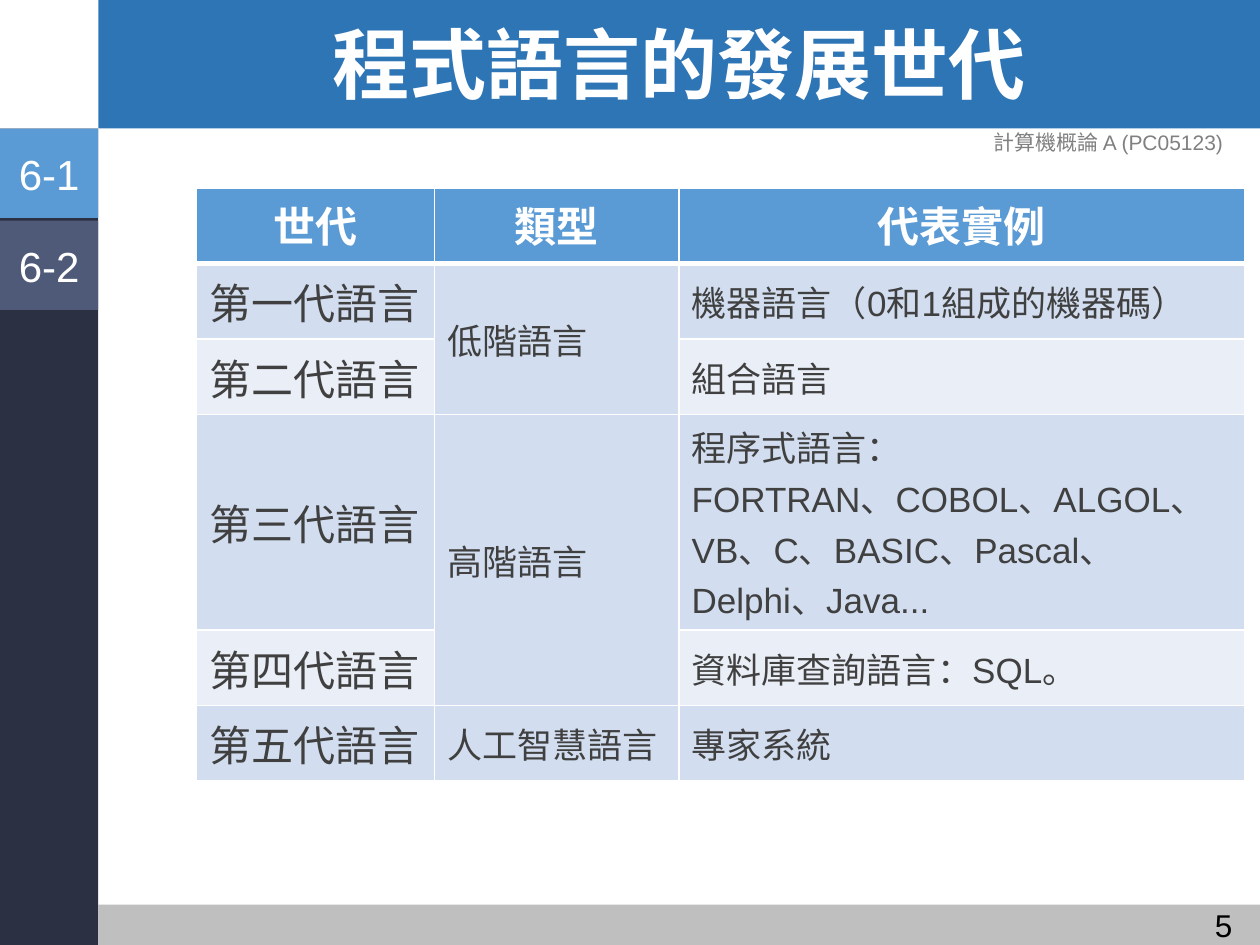
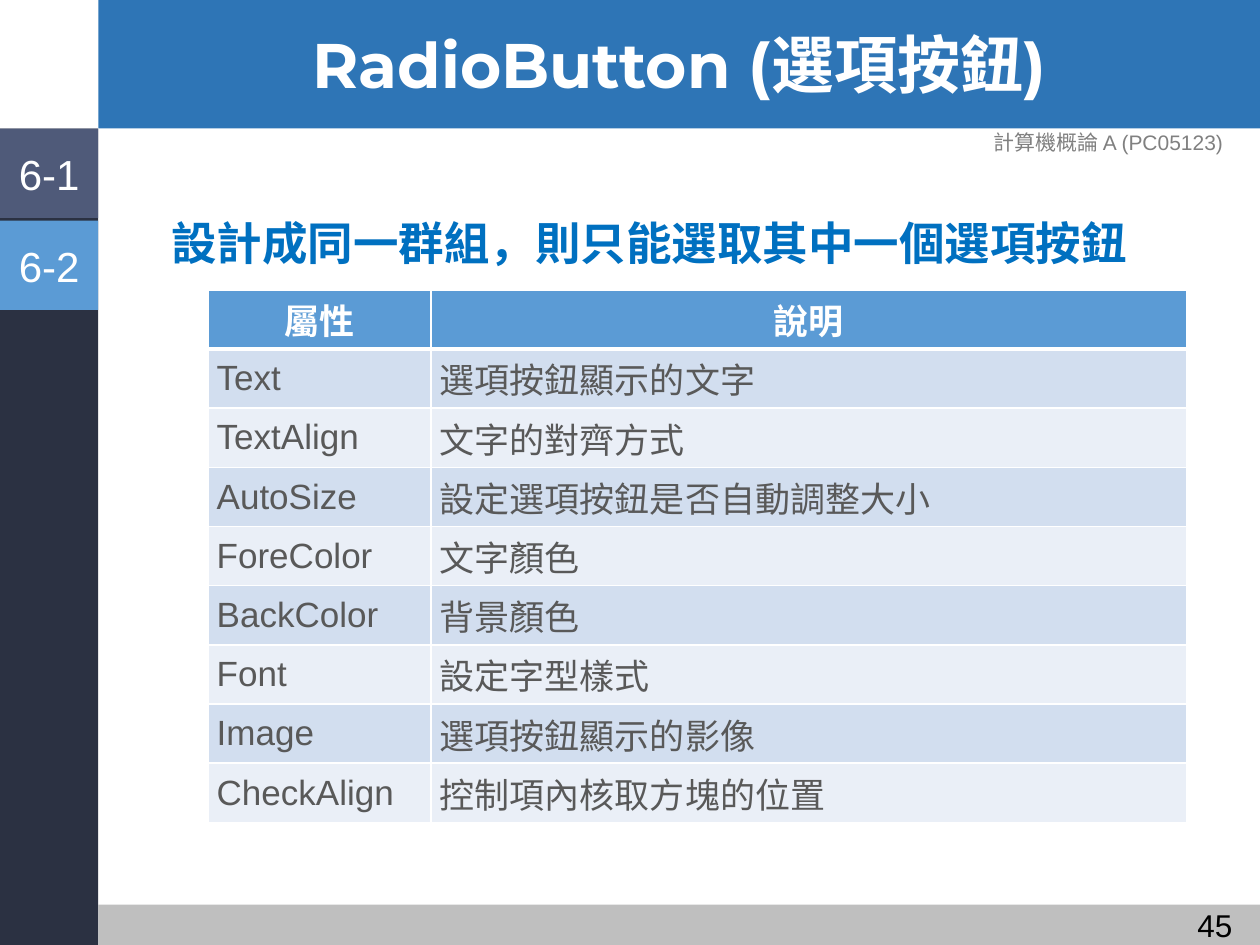
from lxml.etree import SubElement
from pptx import Presentation
from pptx.dml.color import RGBColor
from pptx.enum.shapes import MSO_SHAPE as Shape
from pptx.enum.text import MSO_ANCHOR as Anchor, PP_ALIGN as Align
from pptx.oxml.ns import qn
from pptx.util import Inches, Pt

# Shared look
WHITE, BLUE, SLATE = "FFFFFF", "5B9BD5", "4F5A79"
BANDS = ["EAEFF7", "D2DEEF"]
SIDE, TOP = 0.78, 1.02
COURSE = "計算機概論 A (PC05123)"
BARS = [
    (SIDE, 0, 10 - SIDE, TOP, "2E75B6"),
    (SIDE, 7.18, 10 - SIDE, 0.32, "BFBFBF"),
    (0, TOP, SIDE, 7.5 - TOP, "2B3142"),
]


def color(code):
    return RGBColor.from_string(code)


def write(frame, text, size, ink, align=Align.LEFT, bold=False, font="Arial"):
    frame.word_wrap = True
    frame.text = text
    for para in frame.paragraphs:
        para.alignment = align
        para.font.size, para.font.bold, para.font.name = Pt(size), bold, font
        para.font.color.rgb = color(ink)
    return frame.paragraphs[0]


# Content of the two pages
generations = {
    "place": (1.56, 1.49), "columns": [1.89, 1.94, 4.49],
    "heights": [0.6, 0.6, 0.6, 1.71, 0.6, 0.6],
    "head_size": 24, "sizes": [24, 20, 20], "ink": "404040",
    "margins": (0.1, 0.05), "head_anchor": Anchor.TOP,
    "merges": [(1, 2, 1), (3, 4, 1)],
    "rows": [
        ["世代", "類型", "代表實例"],
        ["第一代語言", "低階語言", "機器語言（0和1組成的機器碼）"],
        ["第二代語言", "", "組合語言"],
        ["第三代語言", "高階語言",
         "程序式語言：\nFORTRAN、COBOL、ALGOL、VB、C、BASIC、Pascal、Delphi、Java..."],
        ["第四代語言", "", "資料庫查詢語言：SQL。"],
        ["第五代語言", "人工智慧語言", "專家系統"],
    ],
}
properties = {
    "place": (1.65, 2.3), "columns": [1.77, 6], "heights": [0.47] * 9,
    "head_size": 20, "sizes": [20, 20], "ink": "595959",
    "margins": (0.07, 0), "head_anchor": Anchor.MIDDLE, "merges": [],
    "rows": [
        ["屬性", "說明"],
        ["Text", "選項按鈕顯示的文字"],
        ["TextAlign", "文字的對齊方式"],
        ["AutoSize", "設定選項按鈕是否自動調整大小"],
        ["ForeColor", "文字顏色"],
        ["BackColor", "背景顏色"],
        ["Font", "設定字型樣式"],
        ["Image", "選項按鈕顯示的影像"],
        ["CheckAlign", "控制項內核取方塊的位置"],
    ],
}
# title, title size, page number, active section, lead sentence, table
pages = [
    ("程式語言的發展世代", 44, "5", "6-1", "", generations),
    ("RadioButton (選項按鈕)", 36, "45", "6-2",
     "設計成同一群組，則只能選取其中一個選項按鈕", properties),
]

deck = Presentation()
deck.slide_width, deck.slide_height = Inches(10), Inches(7.5)

for title, title_size, number, active, lead, data in pages:
    page = deck.slides.add_slide(deck.slide_layouts[6])

    # Bands and section tabs
    tabs = [(0, TOP + 0.73 * i, SIDE, 0.71, BLUE if name == active else SLATE, name)
            for i, name in enumerate(["6-1", "6-2"])]
    for left, top, width, height, fill, *label in BARS + tabs:
        bar = page.shapes.add_shape(Shape.RECTANGLE, Inches(left), Inches(top),
                                    Inches(width), Inches(height))
        bar.shadow.inherit = False
        bar.fill.solid()
        bar.fill.fore_color.rgb = color(fill)
        bar.line.fill.background()
        if label:
            frame = bar.text_frame
            write(frame, label[0], 24, WHITE, Align.CENTER)
            frame.vertical_anchor = Anchor.MIDDLE
            frame.margin_left = frame.margin_right = Inches(0.04)
            frame.margin_top = frame.margin_bottom = Inches(0.04)

    # Title, course name, page number and lead sentence
    texts = [
        (SIDE, 0.03, 9.22, 1.02, Anchor.MIDDLE, title, title_size, WHITE,
         Align.CENTER, True, "Montserrat"),
        (7.59, 0.93, 2.41, 0.4, Anchor.MIDDLE, COURSE, 12, "808080", Align.CENTER),
        (8.82, 7.14, 1.06, 0.4, Anchor.TOP, number, 18, "000000", Align.RIGHT),
    ]
    if lead:
        texts.append((1.26, 1.56, 8.3, 0.7, Anchor.TOP, lead, 26, "0070C0",
                      Align.JUSTIFY, True))
    for left, top, width, height, anchor, *style in texts:
        box = page.shapes.add_textbox(Inches(left), Inches(top),
                                      Inches(width), Inches(height))
        box.text_frame.vertical_anchor = anchor
        para = write(box.text_frame, *style)
        if style[0] == title:
            para.line_spacing = 0.9
        elif style[0] == lead:
            para.line_spacing = Pt(38)

    # Table
    rows, columns, heights = data["rows"], data["columns"], data["heights"]
    left, top = data["place"]
    table = page.shapes.add_table(
        len(rows), len(columns), Inches(left), Inches(top),
        Inches(sum(columns)), Inches(sum(heights))).table
    for column, width in zip(table.columns, columns):
        column.width = Inches(width)
    for r, row in enumerate(rows):
        table.rows[r].height = Inches(heights[r])
        for c, text in enumerate(row):
            cell = table.cell(r, c)
            side, edge = data["margins"]
            cell.margin_left = cell.margin_right = Inches(side)
            cell.margin_top = cell.margin_bottom = Inches(edge)
            if r == 0:
                cell.vertical_anchor = data["head_anchor"]
                write(cell.text_frame, text, data["head_size"], WHITE, Align.CENTER, True)
            else:
                cell.vertical_anchor = Anchor.MIDDLE
                write(cell.text_frame, text, data["sizes"][c], data["ink"])
            # White borders, thicker below the header
            for tag in ["a:lnL", "a:lnR", "a:lnT", "a:lnB"]:
                thick = (r, tag) in [(0, "a:lnB"), (1, "a:lnT")]
                line = SubElement(cell._tc.get_or_add_tcPr(), qn(tag),
                                  w=str(Pt(3 if thick else 1)))
                SubElement(SubElement(line, qn("a:solidFill")), qn("a:srgbClr"), val=WHITE)
            cell.fill.solid()
            cell.fill.fore_color.rgb = color(BANDS[r % 2] if r else BLUE)
    for first, last, c in data["merges"]:
        table.cell(first, c).merge(table.cell(last, c))

deck.save("out.pptx")
